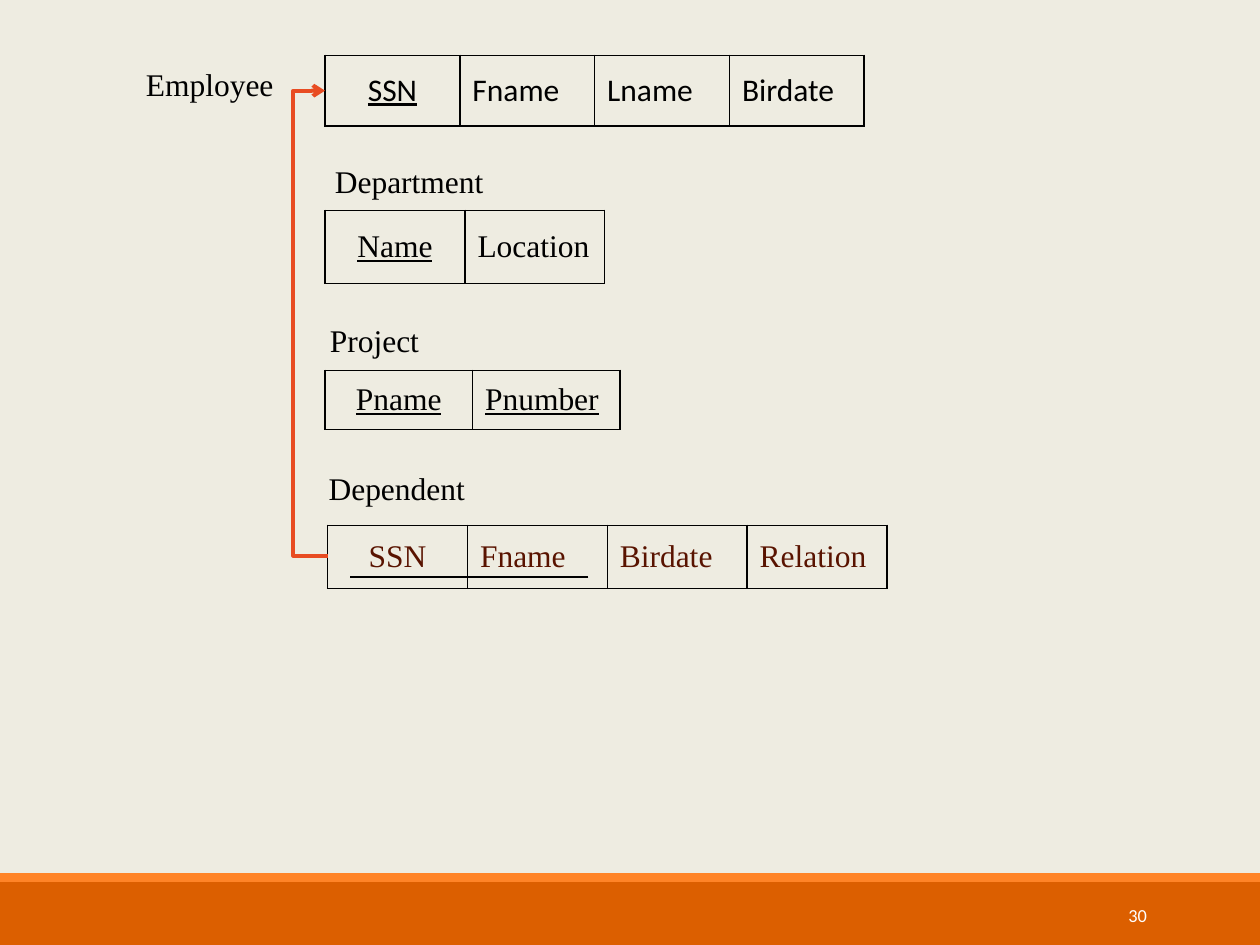
import pptx
import pptx.util
import pptx.dml.color
import pptx.enum.shapes
import pptx.enum.text
import pptx.oxml
import pptx.oxml.ns

Inches, Pt = pptx.util.Inches, pptx.util.Pt
ALIGN, ANCHOR = pptx.enum.text.PP_ALIGN, pptx.enum.text.MSO_ANCHOR
LINE = pptx.enum.shapes.MSO_CONNECTOR
SERIF, SANS = "Times New Roman", "Calibri"
NS = pptx.oxml.ns.nsdecls("a")


def rgb(color):
    return pptx.dml.color.RGBColor.from_string(color)


def write(tf, text, font, color, size=18, align=ALIGN.LEFT):
    p = tf.paragraphs[0]
    p.text = text
    p.alignment = align
    p.font.name, p.font.size = font, Pt(size)
    p.font.color.rgb = rgb(color)
    return p


prs = pptx.Presentation()
prs.slide_width, prs.slide_height = Inches(10), Inches(7.5)
s = prs.slides.add_slide(prs.slide_layouts[6])
s.background.fill.solid()
s.background.fill.fore_color.rgb = rgb("EEECE1")

# Footer bands
for top, height, color in [(7, 0.5, "DC5F00"), (6.93, 0.07, "FF8427")]:
    band = s.shapes.add_shape(pptx.enum.shapes.MSO_SHAPE.RECTANGLE,
                              0, Inches(top), prs.slide_width, Inches(height))
    band.shadow.inherit = False
    band.fill.solid()
    band.fill.fore_color.rgb = rgb(color)
    band.line.fill.background()

# Slide number
sp = s.shapes.add_textbox(Inches(8.12), Inches(7.06), Inches(1.08), Inches(0.4))
sp.text_frame.word_wrap = True
sp.text_frame.vertical_anchor = ANCHOR.MIDDLE
write(sp.text_frame, "30", SANS, "FFFFFF", 10.5, ALIGN.RIGHT)

# Relation names
for name, left, top, width in [("Employee", 1.06, 0.47, 1.42),
                               ("Department", 2.56, 1.24, 1.56),
                               ("Project", 2.52, 2.5, 1.56),
                               ("Dependent", 2.51, 3.67, 1.56)]:
    sp = s.shapes.add_textbox(Inches(left), Inches(top), Inches(width), Inches(0.4))
    sp.text_frame.word_wrap = True
    write(sp.text_frame, name, SERIF, "000000")

# Relations: left, top, column width, height, font, colour, fields, underlined keys
relations = [
    (2.58, 0.44, 1.07, 0.56, SANS, "000000", ["SSN", "Fname", "Lname", "Birdate"], 1),
    (2.58, 1.67, 1.11, 0.58, SERIF, "000000", ["Name", "Location"], 1),
    (2.58, 2.94, 1.17, 0.47, SERIF, "000000", ["Pname", "Pnumber"], 2),
    (2.6, 4.17, 1.11, 0.5, SERIF, "591300", ["SSN", "Fname", "Birdate", "Relation"], 0),
]
for left, top, col, height, font, color, fields, keys in relations:
    table = s.shapes.add_table(1, len(fields), Inches(left), Inches(top),
                               Inches(col * len(fields)), Inches(height)).table
    table.first_row = table.horz_banding = False
    for i, field in enumerate(fields):
        cell = table.cell(0, i)
        cell.vertical_anchor = ANCHOR.MIDDLE
        cell.fill.background()
        p = write(cell.text_frame, field, font, color,
                  align=ALIGN.LEFT if i else ALIGN.CENTER)
        p.runs[0].font.underline = i < keys
        for n, side in enumerate(["lnL", "lnR", "lnT", "lnB"]):
            cell._tc.get_or_add_tcPr().insert(n, pptx.oxml.parse_xml(
                f'<a:{side} {NS} w="12700"><a:solidFill><a:srgbClr val="000000"/>'
                f'</a:solidFill></a:{side}>'))

# Joint key underline and foreign key arrow
key_line = s.shapes.add_connector(LINE.STRAIGHT, Inches(4.67), Inches(4.58),
                                  Inches(2.78), Inches(4.58))
arrow = s.shapes.add_connector(LINE.ELBOW, Inches(2.6), Inches(4.41),
                               Inches(2.58), Inches(0.72))
for line, color, width in [(key_line, "000000", 1.5), (arrow, "E84C22", 2.25)]:
    line.line.color.rgb = rgb(color)
    line.line.width = Pt(width)
    line._element.spPr.append(pptx.oxml.parse_xml(f"<a:effectLst {NS}/>"))
arrow.line._get_or_add_ln().append(pptx.oxml.parse_xml(f'<a:tailEnd {NS} type="arrow"/>'))
# The bend lies 13.5 connector widths to the left of the start
arrow._element.spPr.prstGeom.get_or_add_avLst().append(
    pptx.oxml.parse_xml(f'<a:gd {NS} name="adj1" fmla="val 1350000"/>'))

prs.save("out.pptx")
